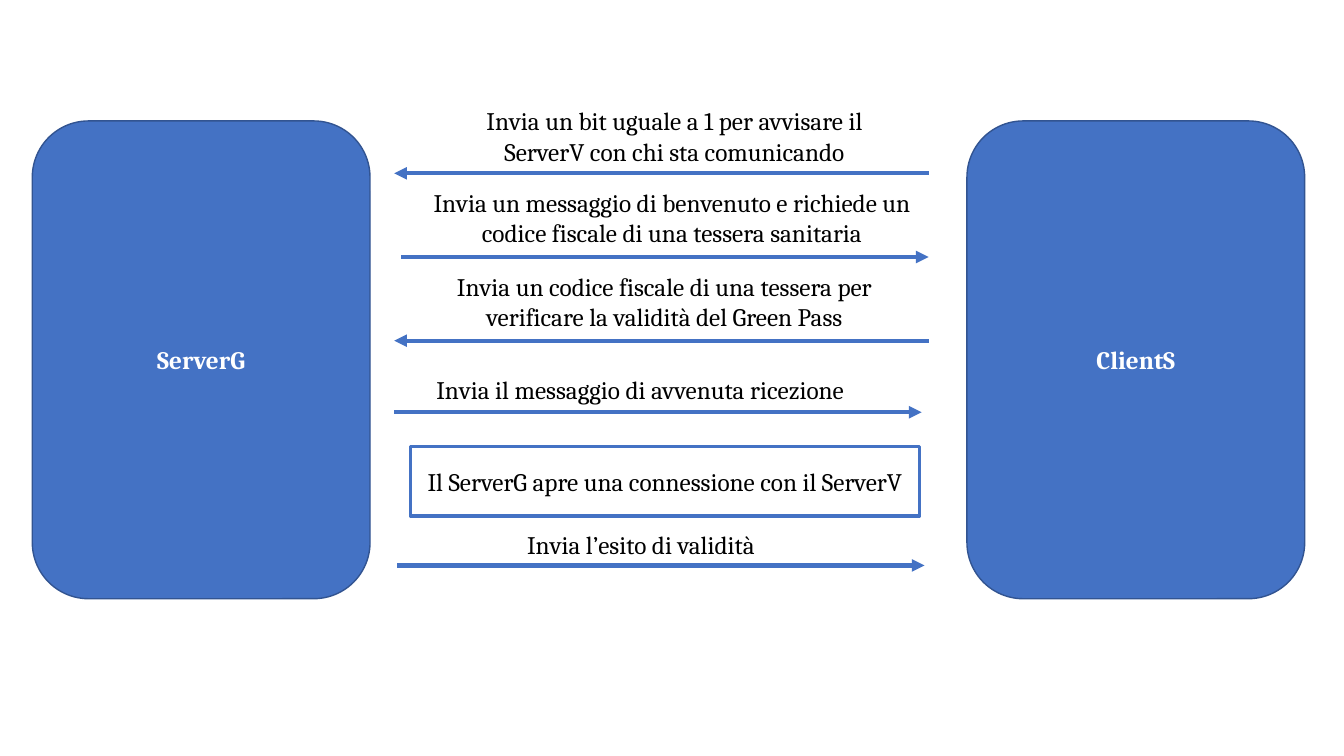
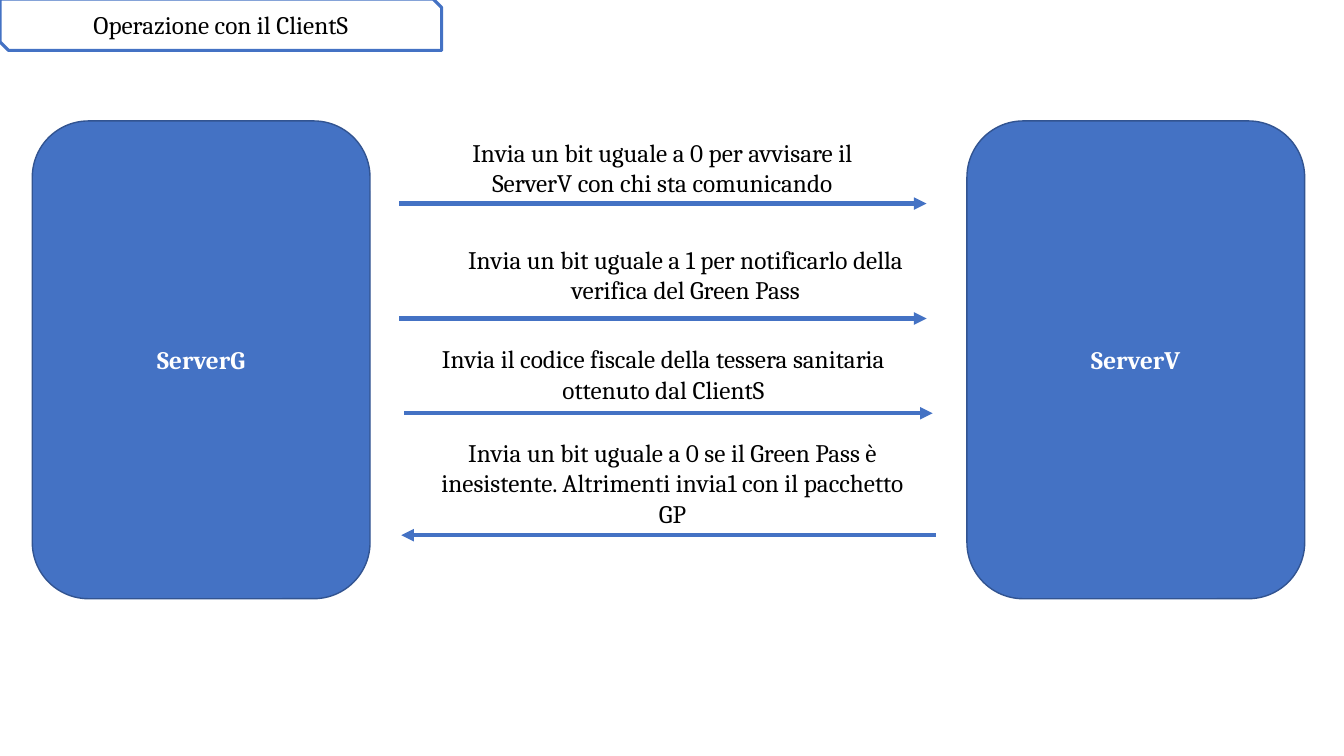
from dataclasses import dataclass

import lxml.etree
import pptx
import pptx.dml.color
import pptx.enum.shapes
import pptx.enum.text
import pptx.oxml.ns
import pptx.shapes.autoshape
import pptx.slide
import pptx.util

Inches = pptx.util.Inches
Kind = pptx.enum.shapes.MSO_SHAPE
Align = pptx.enum.text.PP_ALIGN
Anchor = pptx.enum.text.MSO_ANCHOR

# Shared style
BLUE, EDGE, WHITE, BLACK = "4472C4", "325491", "FFFFFF", "000000"
FONT = {"name": "Cambria", "size": pptx.util.Pt(18)}
LINE_H = 0.3  # height of a text line
PAD = 0.1  # top and bottom insets together


@dataclass
class Box:
    text: str
    left: float
    top: float
    width: float
    height: float
    kind: Kind = Kind.RECTANGLE
    fill: str = ""
    edge: str = BLUE
    weight: float = 2.25
    ink: str = BLACK
    bold: bool = False


@dataclass
class Label:
    text: str
    left: float
    top: float
    width: float
    lines: int = 2
    align: Align = Align.CENTER


@dataclass
class Arrow:
    start: float
    end: float
    y: float


@dataclass
class Page:
    peer: str
    steps: list[tuple[Label, Arrow]]
    boxes: list[Box]


def color(code: str) -> pptx.dml.color.RGBColor:
    return pptx.dml.color.RGBColor.from_string(code)


def write(shape: pptx.shapes.autoshape.Shape, text: str, ink: str,
          bold: bool, align: Align, anchor: Anchor) -> None:
    frame = shape.text_frame
    frame.word_wrap = True
    frame.vertical_anchor = anchor
    para = frame.paragraphs[0]
    para.alignment = align
    run = para.add_run()
    run.text = text
    for key, value in (FONT | {"bold": bold}).items():
        setattr(run.font, key, value)
    run.font.color.rgb = color(ink)


def draw_box(slide: pptx.slide.Slide, box: Box) -> None:
    spot = map(Inches, (box.left, box.top, box.width, box.height))
    shape = slide.shapes.add_shape(box.kind, *spot)
    shape.shadow.inherit = False
    if box.fill:
        shape.fill.solid()
        shape.fill.fore_color.rgb = color(box.fill)
    else:
        shape.fill.background()
    shape.line.color.rgb = color(box.edge)
    shape.line.width = pptx.util.Pt(box.weight)
    write(shape, box.text, box.ink, box.bold, Align.CENTER, Anchor.MIDDLE)


def draw_label(slide: pptx.slide.Slide, label: Label) -> None:
    height = label.lines * LINE_H + PAD
    spot = map(Inches, (label.left, label.top, label.width, height))
    shape = slide.shapes.add_textbox(*spot)
    write(shape, label.text, BLACK, False, label.align, Anchor.TOP)


def draw_arrow(slide: pptx.slide.Slide, arrow: Arrow) -> None:
    ends = map(Inches, (arrow.start, arrow.y, arrow.end, arrow.y))
    link = slide.shapes.add_connector(
        pptx.enum.shapes.MSO_CONNECTOR.STRAIGHT, *ends)
    link.line.color.rgb = color(BLUE)
    link.line.width = pptx.util.Pt(3)
    # Arrowhead, and no shadow
    tag = pptx.oxml.ns.qn
    props = link.element.spPr
    lxml.etree.SubElement(
        props.find(tag("a:ln")), tag("a:tailEnd"), type="triangle")
    lxml.etree.SubElement(props, tag("a:effectLst"))


def draw_host(slide: pptx.slide.Slide, name: str, left: float) -> None:
    draw_box(slide, Box(name, left, 1.2, 3.35, 4.74, Kind.ROUNDED_RECTANGLE,
                        BLUE, EDGE, 1, WHITE, True))


def draw_page(deck: pptx.presentation.Presentation, page: Page) -> None:
    slide = deck.slides.add_slide(deck.slide_layouts[6])
    draw_host(slide, "ServerG", 0.32)
    draw_host(slide, page.peer, 9.59)
    for label, arrow in page.steps:
        draw_label(slide, label)
        draw_arrow(slide, arrow)
    for box in page.boxes:
        draw_box(slide, box)


# Messages in the order they are sent
PAGES = [
    Page("ClientS", [
        (Label("Invia un bit uguale a 1 per avvisare il ServerV con chi sta "
               "comunicando", 4.54, 1, 4.3),
         Arrow(9.21, 3.91, 1.72)),
        (Label("Invia un messaggio di benvenuto e richiede un codice fiscale "
               "di una tessera sanitaria", 4.11, 1.81, 5.11),
         Arrow(3.98, 9.21, 2.55)),
        (Label("Invia un codice fiscale di una tessera per verificare la "
               "validità del Green Pass", 4.32, 2.64, 4.54),
         Arrow(9.21, 3.91, 3.38)),
        (Label("Invia il messaggio di avvenuta ricezione", 4.23, 3.66, 4.8,
               1, Align.LEFT),
         Arrow(3.91, 9.14, 4.09)),
        (Label("Invia l’esito di validità", 5.13, 5.2, 3.73, 1, Align.LEFT),
         Arrow(3.94, 9.17, 5.61)),
    ], [Box("Il ServerG apre una connessione con il ServerV",
            4.07, 4.43, 5.05, 0.69)]),
    Page("ServerV", [
        (Label("Invia un bit uguale a 0 per avvisare il ServerV con chi sta "
               "comunicando", 4.42, 1.31, 4.3),
         Arrow(3.96, 9.19, 2.02)),
        (Label("Invia un bit uguale a 1 per notificarlo della verifica del "
               "Green Pass", 4.18, 2.37, 5.24),
         Arrow(3.96, 9.19, 3.16)),
        (Label("Invia il codice fiscale della tessera sanitaria ottenuto dal "
               "ClientS", 4.18, 3.36, 4.8),
         Arrow(4.01, 9.25, 4.1)),
        (Label("Invia un bit uguale a 0 se il Green Pass è inesistente. "
               "Altrimenti invia1 con il pacchetto GP", 4.14, 4.29, 5.06, 3),
         Arrow(9.28, 3.98, 5.31)),
    ], [Box("Operazione con il ClientS", 0, -0.01, 4.38, 0.51,
            Kind.SNIP_2_DIAG_RECTANGLE, WHITE)]),
]


def main() -> None:
    deck = pptx.Presentation()
    deck.slide_width, deck.slide_height = Inches(13.33), Inches(7.5)
    for page in PAGES:
        draw_page(deck, page)
    deck.save("out.pptx")


if __name__ == "__main__":
    main()
